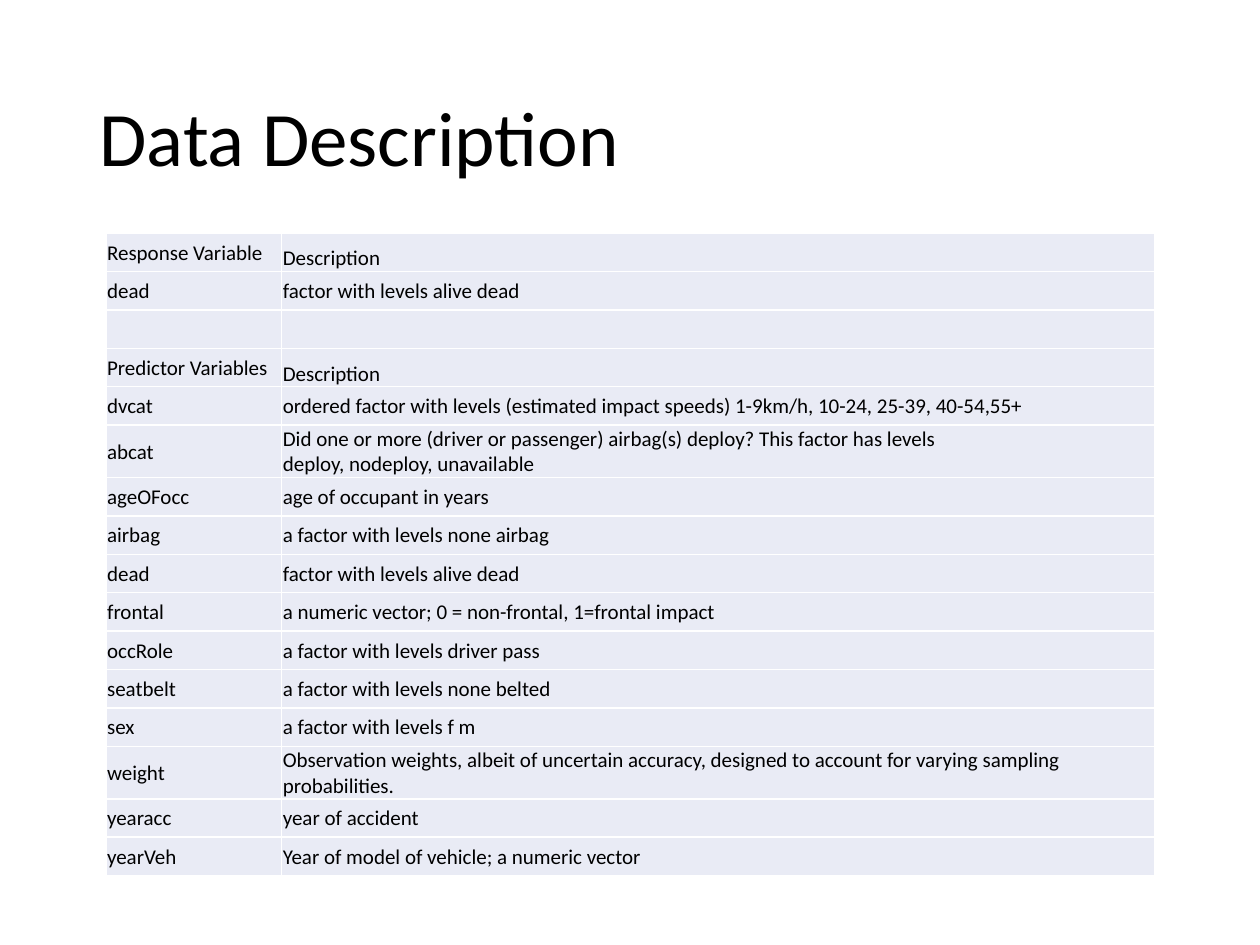
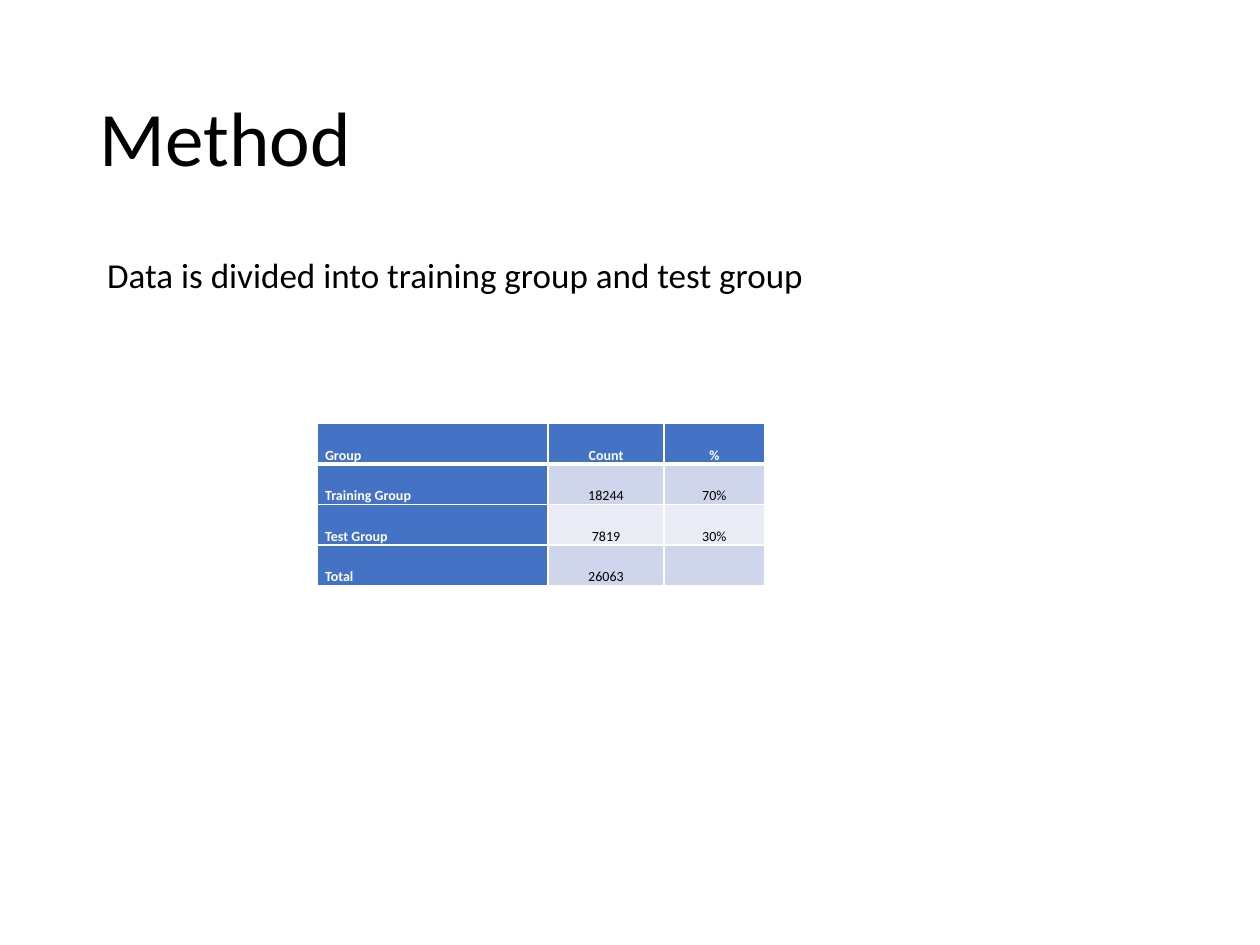
from lxml.etree import SubElement
from pptx import Presentation
from pptx.dml.color import RGBColor
from pptx.enum.text import MSO_ANCHOR, MSO_AUTO_SIZE, PP_ALIGN
from pptx.oxml.ns import qn
from pptx.util import Inches, Pt

FONT = "Calibri"
BLACK, WHITE = "000000", "FFFFFF"
BLUE, MID_BLUE, PALE_BLUE = "4472C4", "CFD5EA", "E9EBF5"
TITLE_ONLY, TITLE_AND_BODY = 5, 1
COLUMNS, ROWS = 100, 75

VARIABLES = [
    ("Response Variable", "Description"),
    ("dead", "factor with levels\u00a0alive\u00a0dead"),
    ("", ""),
    ("Predictor Variables", "Description"),
    ("dvcat", "ordered factor with levels (estimated impact speeds)"
              "\u00a01-9km/h,\u00a010-24,\u00a025-39,\u00a040-54,55+"),
    ("abcat", "Did one or more (driver or passenger) airbag(s) deploy? "
              "This factor has levels deploy,\u00a0nodeploy,\u00a0unavailable"),
    ("ageOFocc", "age of occupant in years"),
    ("airbag", "a factor with levels\u00a0none\u00a0airbag"),
    ("dead", "factor with levels\u00a0alive\u00a0dead"),
    ("frontal", "a numeric vector; 0 = non-frontal, 1=frontal impact"),
    ("occRole", "a factor with levels\u00a0driver\u00a0pass"),
    ("seatbelt", "a factor with levels\u00a0none\u00a0belted"),
    ("sex", "a factor with levels\u00a0f\u00a0m"),
    ("weight", "Observation weights, albeit of uncertain accuracy, designed "
               "to account for varying sampling probabilities."),
    ("yearacc", "year of accident"),
    ("yearVeh", "Year of model of vehicle; a numeric vector"),
]
GROUPS = [
    ("Group", "Count", "%"),
    ("Training Group", "18244", "70%"),
    ("Test Group", "7819", "30%"),
    ("Total", "26063", ""),
]


def colour(code):
    """Turn a hex string into a colour."""
    return RGBColor.from_string(code)


class Deck:
    """Holds the shared style, the grid and the current slide."""

    def __init__(self):
        self.deck = Presentation()
        self.deck.slide_width, self.deck.slide_height = Inches(10), Inches(7.5)
        self.page = None

    def across(self, columns):
        """Length of a number of grid columns."""
        return int(self.deck.slide_width * columns / COLUMNS)

    def down(self, rows):
        """Length of a number of grid rows."""
        return int(self.deck.slide_height * rows / ROWS)

    def place(self, box, left, top, width, height):
        """Move a placeholder to a place on the grid."""
        box.left, box.top = self.across(left), self.down(top)
        box.width, box.height = self.across(width), self.down(height)

    def set_text(self, para, text, size, ink=BLACK, bold=False,
                 align=PP_ALIGN.LEFT, spacing=1.0):
        """Fill one paragraph and format its runs."""
        para.text = text
        para.alignment, para.line_spacing = align, spacing
        for span in para.runs:
            span.font.name, span.font.size = FONT, Pt(size)
            span.font.bold, span.font.color.rgb = bold, colour(ink)
        if not text:
            SubElement(para._p, qn("a:endParaRPr"), sz=str(size * 100))

    def add_page(self, title, layout):
        """Start a slide with the shared title style."""
        self.page = self.deck.slides.add_slide(self.deck.slide_layouts[layout])
        self.page.background.fill.solid()
        self.page.background.fill.fore_color.rgb = colour(WHITE)
        box = self.page.shapes.title
        self.place(box, 6.9, 4, 86.2, 14.5)
        box.text_frame.vertical_anchor = MSO_ANCHOR.MIDDLE
        box.text_frame.auto_size = MSO_AUTO_SIZE.NONE
        self.set_text(box.text_frame.paragraphs[0], title, 44, spacing=0.9)

    def add_body(self, text, left, top, width, height):
        """Put a second-level line without bullet in the body placeholder."""
        box = self.page.placeholders[1]
        self.place(box, left, top, width, height)
        box.text_frame.auto_size = MSO_AUTO_SIZE.NONE
        para = box.text_frame.paragraphs[0]
        self.set_text(para, text, 20, spacing=0.9)
        para.level, para.space_before = 1, Pt(5)
        properties = para._p.get_or_add_pPr()
        properties.set("marL", str(Inches(0.75)))
        properties.set("indent", "0")
        SubElement(properties, qn("a:buNone"))

    def add_table(self, values, left, top, widths, row_height, style):
        """Draw a table; style(row, column) gives fill, anchor and text style."""
        frame = self.page.shapes.add_table(
            len(values), len(widths), self.across(left), self.down(top),
            self.across(sum(widths)), self.down(row_height * len(values)))
        table = frame.table
        table.first_row = table.horz_banding = False
        for column, width in zip(table.columns, widths):
            column.width = self.across(width)
        for row, texts in enumerate(values):
            table.rows[row].height = self.down(row_height)
            for column, text in enumerate(texts):
                self.fill_cell(table.cell(row, column), text, **style(row, column))

    def fill_cell(self, cell, text, fill, anchor, side, top, edges, **text_style):
        """Format one cell: margins, white borders, fill and text."""
        cell.margin_left = cell.margin_right = Inches(side)
        cell.margin_top, cell.margin_bottom = Inches(top), 0
        cell.vertical_anchor = anchor
        for edge, points in zip(("lnL", "lnR", "lnT", "lnB"), edges):
            line = SubElement(cell._tc.get_or_add_tcPr(), qn("a:" + edge),
                              w=str(Pt(points)))
            SubElement(SubElement(line, qn("a:solidFill")),
                       qn("a:srgbClr"), val=WHITE)
        cell.fill.solid()
        cell.fill.fore_color.rgb = colour(fill)
        self.set_text(cell.text_frame.paragraphs[0], text, **text_style)


def variable_style(row, column):
    """Style of the variable list: the description headings sit low."""
    heading = column == 1 and VARIABLES[row][1] == "Description"
    return dict(fill=PALE_BLUE, side=0.01, top=0.01, edges=(1, 1, 1, 1), size=12,
                anchor=MSO_ANCHOR.BOTTOM if heading else MSO_ANCHOR.MIDDLE)


def group_style(row, column):
    """Style of the group counts: blue headings, banded numbers."""
    heading = row == 0 or column == 0
    band = MID_BLUE if row % 2 else PALE_BLUE
    above, below = (3 if row == 1 else 1), (3 if row == 0 else 1)
    return dict(fill=BLUE if heading else band, anchor=MSO_ANCHOR.BOTTOM,
                side=0.06, top=0, edges=(1, 1, above, below), size=8,
                ink=WHITE if heading else BLACK, bold=heading, spacing=2.0,
                align=PP_ALIGN.CENTER if column else PP_ALIGN.LEFT)


def main():
    """Build both slides and save them."""
    deck = Deck()
    deck.add_page("Data Description", TITLE_ONLY)
    deck.add_table(VARIABLES, 8.4, 18.5, (13.95, 69.3), 3.05, variable_style)
    deck.add_page("Method", TITLE_AND_BODY)
    deck.add_body("Data is divided into training group and test group",
                  0, 20, 93.1, 47.6)
    deck.add_table(GROUPS, 25.2, 33.6, (18.3, 9.2, 8), 3.22, group_style)
    deck.deck.save("out.pptx")


main()
